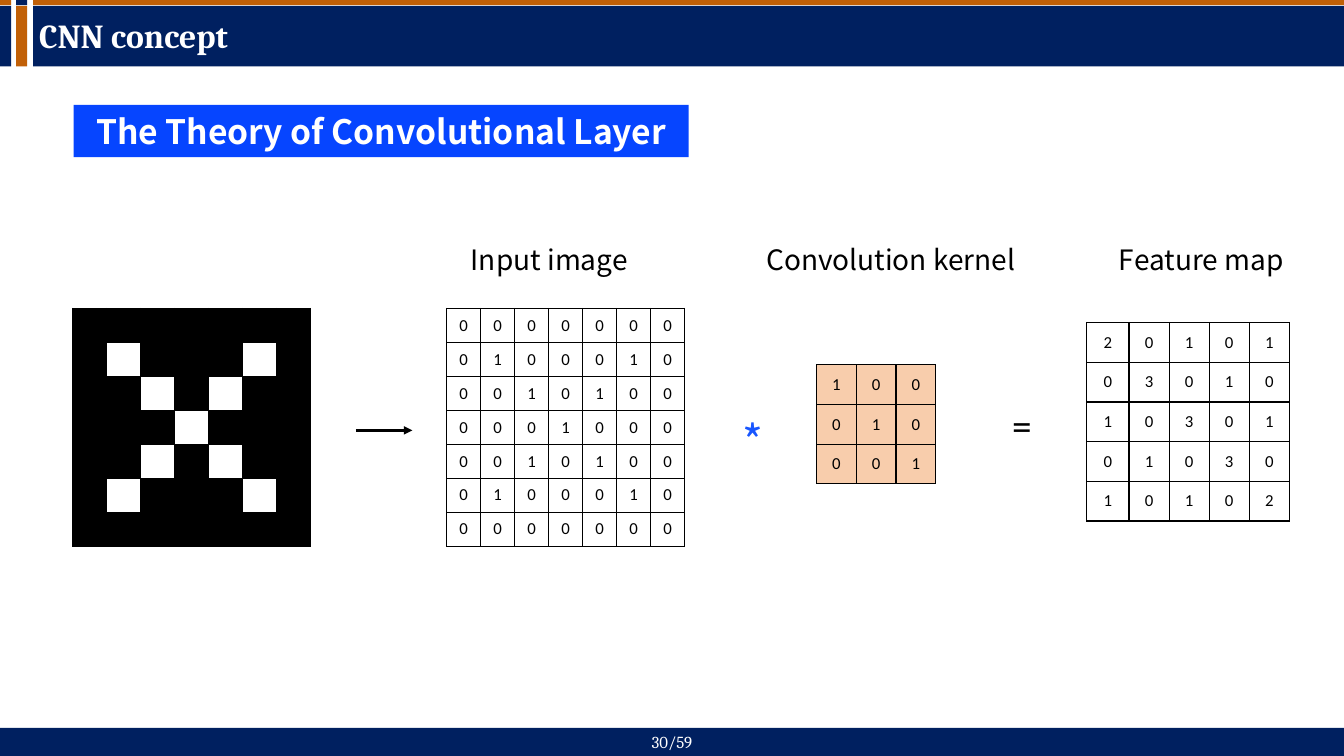
from dataclasses import dataclass

from lxml import etree
from pptx import Presentation
from pptx.dml.color import RGBColor
from pptx.enum.shapes import MSO_CONNECTOR, MSO_SHAPE
from pptx.enum.text import MSO_ANCHOR, MSO_AUTO_SIZE, PP_ALIGN
from pptx.oxml.ns import qn
from pptx.slide import Slide
from pptx.table import _Cell
from pptx.text.text import TextFrame
from pptx.util import Inches, Pt

RECT = MSO_SHAPE.RECTANGLE
STRAIGHT = MSO_CONNECTOR.STRAIGHT
LEFT, CENTER = PP_ALIGN.LEFT, PP_ALIGN.CENTER
TOP, MIDDLE = MSO_ANCHOR.TOP, MSO_ANCHOR.MIDDLE
GROW = MSO_AUTO_SIZE.SHAPE_TO_FIT_TEXT


@dataclass(frozen=True)
class Theme:
    navy: str = "002060"
    orange: str = "C16007"
    blue: str = "0645FF"
    star: str = "1856FF"
    peach: str = "F8CDAC"
    black: str = "000000"
    white: str = "FFFFFF"
    serif: str = "Cambria"
    plain: str = "Calibri"
    sans: str = "Noto Sans CJK SC"
    small: int = 12
    label: int = 20
    head: int = 24
    equal: int = 28
    times: int = 32


THEME = Theme()


@dataclass(frozen=True)
class Area:
    left: float
    top: float
    width: float
    height: float

    def emu(self) -> list[int]:
        return [Inches(n) for n in (self.left, self.top, self.width, self.height)]


@dataclass(frozen=True)
class Bar:
    area: Area
    color: str


@dataclass(frozen=True)
class Label:
    text: str
    area: Area


@dataclass(frozen=True)
class Grid:
    """Rows of digits; lead is the extra width of the first column."""
    area: Area
    rows: list[str]
    fill: str | None = None
    lead: float = 0
    pixels: bool = False


INPUT = ["0000000", "0100010", "0010100", "0001000",
         "0010100", "0100010", "0000000"]
KERNEL = ["100", "010", "001"]
FEATURE = ["20101", "03010", "10301", "01030", "10102"]

BARS = [
    Bar(Area(0, 7.22, 13.33, 0.28), THEME.navy),
    Bar(Area(0.33, 0.06, 13, 0.6), THEME.navy),
    Bar(Area(0.33, 0, 13, 0.05), THEME.orange),
    Bar(Area(0.16, 0.06, 0.11, 0.6), THEME.orange),
    Bar(Area(0.16, 0, 0.11, 0.05), THEME.navy),
    Bar(Area(0, 0.06, 0.11, 0.6), THEME.navy),
    Bar(Area(0, 0, 0.11, 0.05), THEME.orange),
    Bar(Area(0.73, 1.04, 6.1, 0.52), THEME.blue),
]
GRIDS = [
    Grid(Area(8.1, 3.62, 1.18, 1.18), KERNEL, fill=THEME.peach),
    Grid(Area(10.78, 3.2, 2.01, 1.97), FEATURE, lead=0.02),
    Grid(Area(0.72, 3.06, 2.36, 2.36), INPUT, pixels=True),
    Grid(Area(4.43, 3.06, 2.36, 2.36), INPUT),
]
LABELS = [
    Label("Input image ", Area(4.3, 2.36, 2.36, 0.44)),
    Label("Convolution kernel", Area(7.33, 2.36, 3.01, 0.44)),
    Label("Feature map", Area(10.97, 2.36, 1.89, 0.44)),
]


def rgb(color: str) -> RGBColor:
    return RGBColor.from_string(color)


def write(frame: TextFrame, text: str, *, size: int, font: str,
          color: str = THEME.black, bold: bool = False,
          align: PP_ALIGN = CENTER, space: float = 1) -> None:
    para = frame.paragraphs[0]
    para.alignment = align
    para.line_spacing = space
    run = para.add_run()
    run.text = text
    run.font.size = Pt(size)
    run.font.name = font
    run.font.bold = bold
    run.font.color.rgb = rgb(color)
    # East Asian fonts need their own entry beside the Latin one.
    props = run.font._element
    etree.SubElement(props, qn("a:ea"), typeface=font)


def add_text(slide: Slide, area: Area, text: str, *, wrap: bool = True,
             anchor: MSO_ANCHOR = TOP, grow: bool = True, **style) -> None:
    frame = slide.shapes.add_textbox(*area.emu()).text_frame
    frame.word_wrap = wrap
    frame.vertical_anchor = anchor
    if grow:
        frame.auto_size = GROW
    write(frame, text, **style)


def add_bar(slide: Slide, bar: Bar) -> None:
    shape = slide.shapes.add_shape(RECT, *bar.area.emu())
    shape.shadow.inherit = False
    shape.fill.solid()
    shape.fill.fore_color.rgb = rgb(bar.color)
    shape.line.fill.background()


def frame_cell(cell: _Cell) -> None:
    """Draw a thin black border on all four sides."""
    props = cell._tc.get_or_add_tcPr()
    for side in ("lnL", "lnR", "lnT", "lnB"):
        line = etree.SubElement(props, qn(f"a:{side}"), w=str(Pt(1)))
        fill = etree.SubElement(line, qn("a:solidFill"))
        etree.SubElement(fill, qn("a:srgbClr"), val=THEME.black)


def fill_cell(cell: _Cell, digit: str, grid: Grid) -> None:
    cell.margin_left = cell.margin_right = 0
    cell.margin_top = cell.margin_bottom = 0
    cell.vertical_anchor = MIDDLE
    frame_cell(cell)
    color = grid.fill
    if grid.pixels:
        color = THEME.white if digit == "1" else THEME.black
    else:
        write(cell.text_frame, digit, size=THEME.small, font=THEME.plain)
    if color:
        cell.fill.solid()
        cell.fill.fore_color.rgb = rgb(color)
    else:
        cell.fill.background()


def add_grid(slide: Slide, grid: Grid) -> None:
    high, wide = len(grid.rows), len(grid.rows[0])
    table = slide.shapes.add_table(high, wide, *grid.area.emu()).table
    table.first_row = table.horz_banding = False
    step = (grid.area.width - grid.lead) / wide
    for i, col in enumerate(table.columns):
        col.width = Inches(step + (0 if i else grid.lead))
    for row in table.rows:
        row.height = Inches(grid.area.height / high)
    for r, digits in enumerate(grid.rows):
        for c, digit in enumerate(digits):
            fill_cell(table.cell(r, c), digit, grid)


def add_arrow(slide: Slide, left: float, right: float, y: float) -> None:
    arrow = slide.shapes.add_connector(
        STRAIGHT, Inches(left), Inches(y), Inches(right), Inches(y))
    arrow.line.width = Pt(2)
    arrow.line.color.rgb = rgb(THEME.black)
    etree.SubElement(arrow.line._get_or_add_ln(), qn("a:tailEnd"), type="triangle")
    etree.SubElement(arrow._element.spPr, qn("a:effectLst"))


def main() -> None:
    deck = Presentation()
    deck.slide_width, deck.slide_height = Inches(13.33), Inches(7.5)
    slide = deck.slides.add_slide(deck.slide_layouts[6])
    for bar in BARS:
        add_bar(slide, bar)
    add_text(slide, Area(6.2, 7.21, 0.93, 0.3), "30/59", size=THEME.small,
             font=THEME.serif, color=THEME.white)
    add_text(slide, Area(0.29, 0.07, 2.88, 0.6), "CNN concept", anchor=MIDDLE,
             grow=False, size=THEME.head, font=THEME.serif, color=THEME.white,
             bold=True, align=LEFT, space=0.9)
    add_text(slide, Area(0.73, 1.05, 6.1, 0.5), "The Theory of Convolutional Layer",
             size=THEME.head, font=THEME.sans, color=THEME.white, bold=True)
    for grid in GRIDS:
        add_grid(slide, grid)
    add_arrow(slide, 3.53, 4.09, 4.27)
    add_text(slide, Area(7.27, 4.06, 0.41, 0.64), "*", wrap=False,
             size=THEME.times, font=THEME.sans, color=THEME.star, align=LEFT)
    add_text(slide, Area(9.94, 3.93, 0.4, 0.57), "=", wrap=False,
             size=THEME.equal, font=THEME.plain, align=LEFT)
    for label in LABELS:
        add_text(slide, label.area, label.text, size=THEME.label, font=THEME.sans)
    deck.save("out.pptx")


if __name__ == "__main__":
    main()
